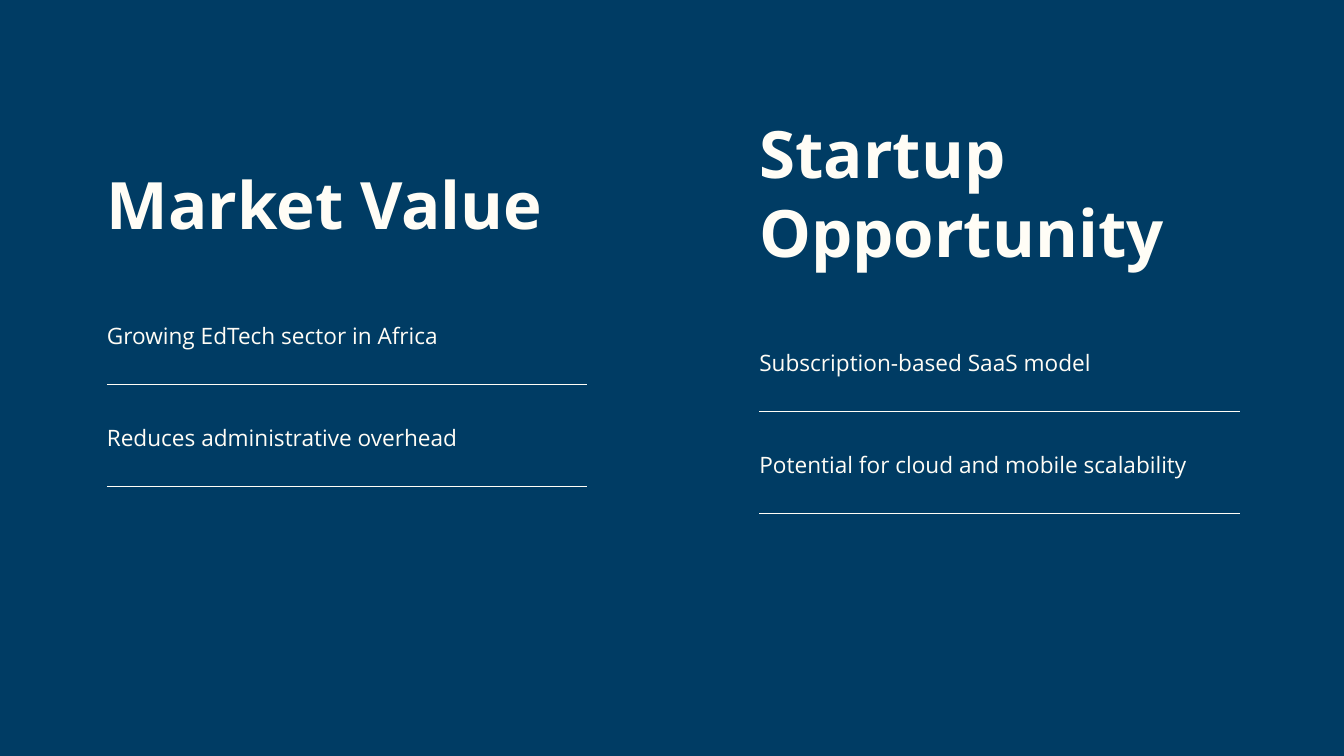
from dataclasses import dataclass

from lxml import etree
from pptx import Presentation
from pptx.dml.color import RGBColor
from pptx.enum.shapes import MSO_CONNECTOR
from pptx.enum.text import MSO_ANCHOR, MSO_AUTO_SIZE
from pptx.oxml.ns import qn
from pptx.util import Inches, Pt

STRAIGHT = MSO_CONNECTOR.STRAIGHT
TOP = MSO_ANCHOR.TOP
GROW = MSO_AUTO_SIZE.SHAPE_TO_FIT_TEXT

# Grid of 20 columns by 11.25 rows
SLIDE_WIDTH, SLIDE_HEIGHT = Inches(20), Inches(11.25)
COLUMN, ROW = SLIDE_WIDTH / 20, SLIDE_HEIGHT / 11.25

# Vertical rhythm of a panel, in rows
TITLE_GAP = 1.12
ITEM_HEIGHT = 0.43
ITEM_PITCH = 1.52
RULE_DROP = 1.0


@dataclass(frozen=True)
class Theme:
    background: RGBColor = RGBColor(0x00, 0x3C, 0x64)
    ink: RGBColor = RGBColor(0xFF, 0xFD, 0xF6)
    font: str = "Open Sans"
    title_size: float = 70
    title_leading: float = 84
    item_size: float = 24.2
    item_leading: float = 33.9
    rule_width: float = 1


THEME = Theme()

# Left, title top, width, title height; heading; items
PANELS = [
    ((1.59, 2.44, 7.15, 1.16), "Market Value",
     ["Growing EdTech sector in Africa", "Reduces administrative overhead"]),
    ((11.3, 1.69, 7.15, 2.31), "Startup Opportunity",
     ["Subscription-based SaaS model",
      "Potential for cloud and mobile scalability"]),
]


def grid(columns, rows):
    return round(columns * COLUMN), round(rows * ROW)


def apply(target, values):
    for key, value in values.items():
        setattr(target, key, value)


def add_text(shapes, box, text, size, leading, bold=False):
    left, top, width, height = box
    label = shapes.add_textbox(*grid(left, top), *grid(width, height))
    frame = label.text_frame
    apply(frame, dict(word_wrap=True, auto_size=GROW, vertical_anchor=TOP,
                      margin_left=0, margin_top=0,
                      margin_right=0, margin_bottom=0))
    paragraph = frame.paragraphs[0]
    paragraph.line_spacing = Pt(leading)
    run = paragraph.add_run()
    run.text = text
    apply(run.font, dict(name=THEME.font, size=Pt(size), bold=bold))
    run.font.color.rgb = THEME.ink


def add_rule(shapes, left, top, width):
    rule = shapes.add_connector(STRAIGHT, *grid(left, top),
                                *grid(left + width, top))
    rule.line.color.rgb = THEME.ink
    rule.line.width = Pt(THEME.rule_width)
    etree.SubElement(rule._element.spPr, qn("a:effectLst"))


def add_panel(slide, box, heading, items):
    left, top, width, title_height = box
    shapes = slide.shapes.add_group_shape().shapes

    # Heading
    add_text(shapes, box, heading, THEME.title_size, THEME.title_leading,
             bold=True)

    # Items, each closed by a rule
    first_item = top + title_height + TITLE_GAP
    for index, item in enumerate(items):
        item_top = first_item + index * ITEM_PITCH
        add_text(shapes, (left, item_top, width, ITEM_HEIGHT), item,
                 THEME.item_size, THEME.item_leading)
        add_rule(shapes, left, item_top + RULE_DROP, width)


def main():
    presentation = Presentation()
    apply(presentation, dict(slide_width=SLIDE_WIDTH,
                             slide_height=SLIDE_HEIGHT))
    slide = presentation.slides.add_slide(presentation.slide_layouts[6])

    # Background
    slide.background.fill.solid()
    slide.background.fill.fore_color.rgb = THEME.background

    # Two panels side by side
    for box, heading, items in PANELS:
        add_panel(slide, box, heading, items)

    presentation.save("out.pptx")


if __name__ == "__main__":
    main()
